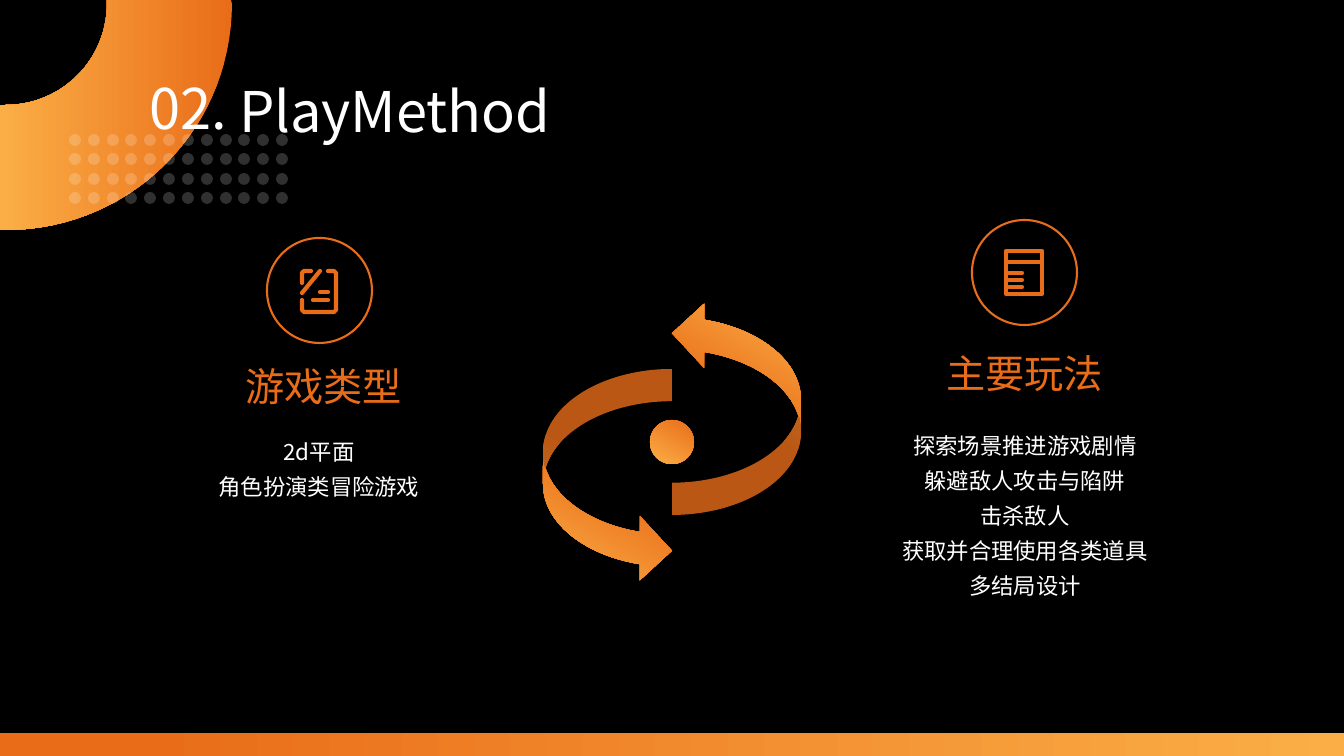
from math import cos, sin, radians

from lxml.etree import SubElement
from pptx import Presentation
from pptx.dml.color import RGBColor as RGB
from pptx.enum.shapes import MSO_CONNECTOR as LINK, MSO_SHAPE as KIND
from pptx.enum.text import MSO_ANCHOR as ANCHOR, MSO_AUTO_SIZE as FIT, PP_ALIGN as ALIGN
from pptx.oxml.ns import qn
from pptx.util import Pt

HUES = {"back": "000000", "text": "FFFFFF", "deep": "E96D19", "pale": "FBAE46"}
FACE = "Noto Sans CJK SC"
LEFT = {"alignment": ALIGN.LEFT, "space_before": Pt(0), "line_spacing": 1.0}
MID = {**LEFT, "alignment": ALIGN.CENTER}
LIST = {**MID, "line_spacing": 1.3}
FRAME = {"word_wrap": True, "auto_size": FIT.NONE, "vertical_anchor": ANCHOR.TOP}


def px(n):
    return round(n * 914400 / 100.8)


def hue(name):
    return RGB.from_string(HUES[name])


def apply(item, fmt):
    for key, val in fmt.items():
        setattr(item, key, val)


def arc(r, start, end, x=6, y=4):
    step = 3 if end > start else -3
    return [(x + r * cos(radians(a)), y + r * sin(radians(a)))
            for a in range(start, end + step, step)]


class Deck:
    def __init__(self):
        self.prs = Presentation()
        apply(self.prs, {"slide_width": px(1344), "slide_height": px(756)})
        self.slide = self.prs.slides.add_slide(self.prs.slide_layouts[4])
        self.shapes = self.slide.shapes
        fill = self.slide.background.fill
        fill.solid()
        fill.fore_color.rgb = hue("back")

    def blend(self, shape, angle, first=0):
        shape.shadow.inherit = False
        shape.line.fill.background()
        shape.fill.gradient()
        shape.fill.gradient_angle = -angle % 360
        for stop, name, pos in zip(shape.fill.gradient_stops, ("deep", "pale"), (first, 1)):
            stop.color.rgb = hue(name)
            stop.position = pos

    def form(self, kind, *at):
        shape = self.shapes.add_shape(kind, *map(px, at))
        shape.shadow.inherit = False
        return shape

    def dot(self, x, y):
        shape = self.form(KIND.OVAL, x, y, 12, 12)
        shape.line.fill.background()
        shape.fill.solid()
        shape.fill.fore_color.rgb = hue("text")
        tint = shape.element.find(".//" + qn("a:srgbClr"))
        SubElement(tint, qn("a:alpha"), val="19000")

    def trace(self, points, close=False):
        spots = [(px(x), px(y)) for x, y in points]
        path = self.shapes.build_freeform(*spots[0], scale=1.0)
        path.add_line_segments(spots[1:], close=close)
        shape = path.convert_to_shape()
        shape.shadow.inherit = False
        return shape

    def pen(self, shape, width=3):
        shape.line.color.rgb = hue("deep")
        shape.line.width = Pt(width)
        shape.element.find(".//" + qn("a:ln")).set("cap", "rnd")

    def stroke(self, points, close=False):
        shape = self.trace(points, close)
        shape.fill.background()
        self.pen(shape)

    def bar(self, *ends):
        link = self.shapes.add_connector(LINK.STRAIGHT, *map(px, ends))
        SubElement(link.element.spPr, qn("a:effectLst"))
        self.pen(link)

    def ring(self, x, y):
        shape = self.form(KIND.OVAL, x, y, 105, 105)
        shape.fill.background()
        self.pen(shape, 1.5)

    def text(self, at, lines, size, tone="text", style=LEFT, slot=None):
        if slot is None:
            box = self.shapes.add_textbox(*map(px, at))
        else:
            box = self.slide.placeholders[slot]
            apply(box, dict(zip(("left", "top", "width", "height"), map(px, at))))
            self.shapes.element.append(box.element)
        frame = box.text_frame
        apply(frame, FRAME)
        for i, line in enumerate(lines):
            para = frame.add_paragraph() if i else frame.paragraphs[0]
            apply(para, style)
            props = para._p.get_or_add_pPr()
            apply(props, {"marL": 0, "indent": 0})
            SubElement(props, qn("a:buNone"))
            run = para.add_run()
            run.text = line
            apply(run.font, {"size": Pt(size), "bold": False, "name": FACE})
            run.font.color.rgb = hue(tone)
            SubElement(run._r.get_or_add_rPr(), qn("a:ea"), typeface=FACE)


def main():
    deck = Deck()
    edge = [(107, 0), (231, 0), *arc(226, 0, 90), (0, 230), (0, 106), *arc(101, 90, 0)]
    deck.blend(deck.trace(edge, True), 180)
    deck.blend(deck.form(KIND.RECTANGLE, 0, 733, 1344, 25), 0, 0.11)
    for y in (134, 153, 173, 192):
        for col in range(12):
            deck.dot(69 + round(col * 207 / 11), y)

    deck.text((229, 71, 420, 78), ["PlayMethod"], 40, slot=0)
    deck.text((140, 69, 116, 78), ["02."], 40)

    for x, y, flip in ((543, 369, False), (672, 301, True)):
        arrow = deck.form(KIND.CURVED_RIGHT_ARROW, x, y, 129, 214)
        deck.blend(arrow, 120, 0.46)
        if flip:
            for side in ("flipH", "flipV"):
                arrow.element.spPr.find(qn("a:xfrm")).set(side, "1")
    deck.blend(deck.form(KIND.OVAL, 650, 420, 44, 44), 120)

    deck.text((122, 357, 403, 57), ["游戏类型"], 28, "deep", MID, 1)
    deck.text((159, 425, 320, 78), ["2d平面", "角色扮演类冒险游戏"], 16, style=LIST, slot=2)
    deck.text((823, 344, 403, 57), ["主要玩法"], 28, "deep", MID, 3)
    plays = ["探索场景推进游戏剧情", "躲避敌人攻击与陷阱", "击杀敌人",
             "获取并合理使用各类道具", "多结局设计"]
    deck.text((865, 419, 320, 183), plays, 16, style=LIST, slot=4)

    deck.ring(267, 238)
    deck.stroke([(302, 283), (302, 273), (304, 271), (311, 271)])
    deck.stroke([(302, 300), (302, 310), (304, 312), (334, 312), (336, 310),
                 (336, 273), (334, 271), (328, 271)])
    for ends in ((313, 300, 328, 300), (302, 293, 320, 271), (320, 292, 328, 292)):
        deck.bar(*ends)

    deck.ring(972, 220)
    deck.stroke([(1006, 251), (1042, 251), (1042, 294), (1006, 294)], True)
    deck.bar(1007, 262, 1041, 262)
    for y in (273, 280, 287):
        deck.bar(1009, y, 1022, y)

    deck.prs.save("out.pptx")


if __name__ == "__main__":
    main()
